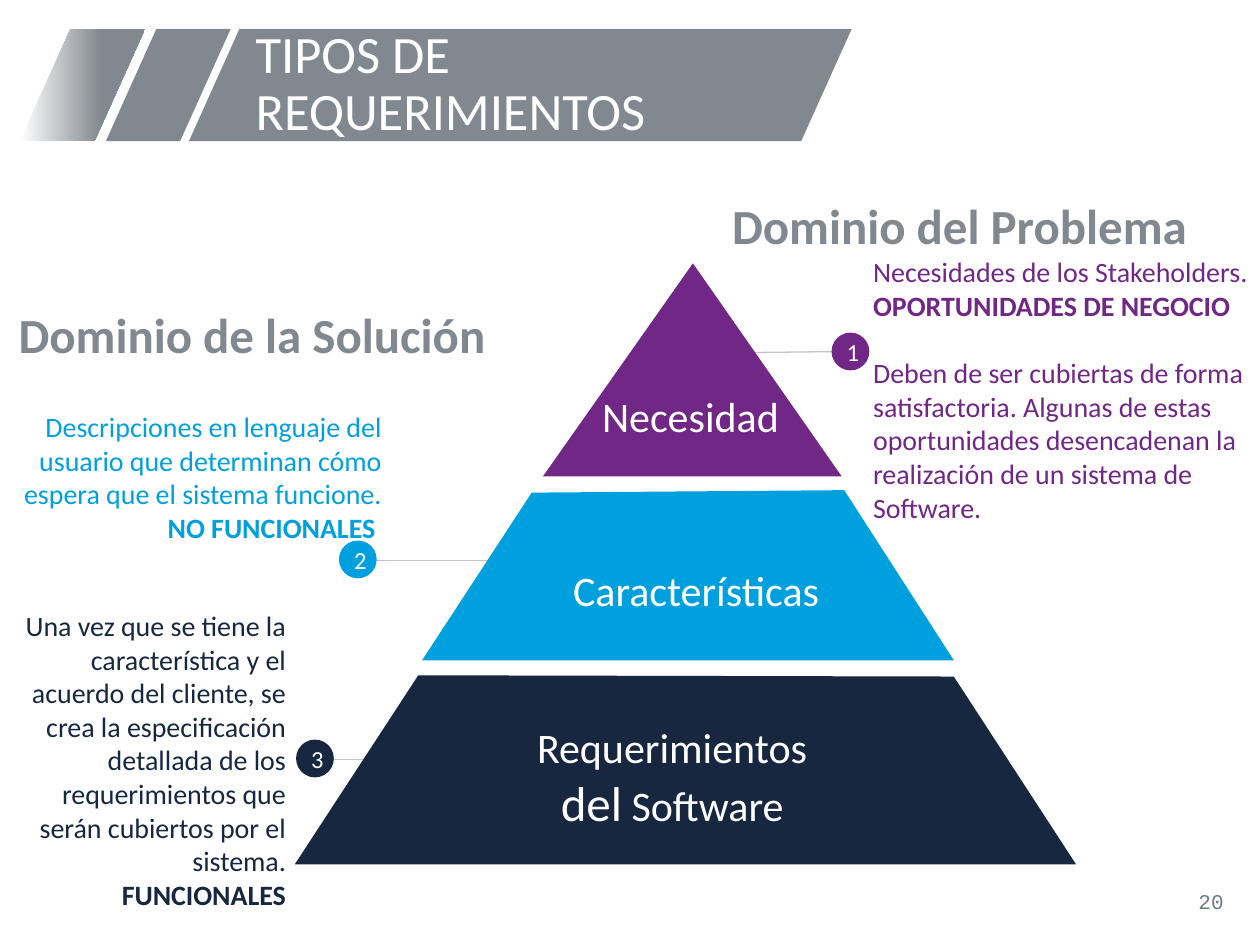
from pptx import Presentation
from pptx.dml.color import RGBColor
from pptx.enum.shapes import MSO_CONNECTOR, MSO_SHAPE
from pptx.enum.text import MSO_ANCHOR, PP_ALIGN
from pptx.oxml.ns import qn
from pptx.util import Inches, Pt
from lxml import etree

LEFT, CENTER, RIGHT = PP_ALIGN.LEFT, PP_ALIGN.CENTER, PP_ALIGN.RIGHT
TOP, MIDDLE = MSO_ANCHOR.TOP, MSO_ANCHOR.MIDDLE

THEME = {
    "font": "Calibri", "number_font": "Courier New",
    "white": "FFFFFF", "gray": "81888F", "line": "C2C2C2", "page": "6C7A8A",
    "need": "702785", "feature": "00A0DE", "software": "172740",
    "title": 30, "heading": 28, "label": 24, "large": 28, "body": 16,
    "badge": 14, "page_size": 12,
}

TITLE = "TIPOS DE REQUERIMIENTOS"
PAGE = "20"
BANNER = [(0.16, 0.99), (0.84, 0.99), (1.5, 5.26)]
HEADINGS = [
    ("Dominio de la Solución", (0, 2.35, 3.92, 0.6), RIGHT),
    ("Dominio del Problema", (5.74, 1.48, 4.08, 0.6), LEFT),
]
LEVELS = [
    {"color": "need",
     "outline": [(5.5, 2.09), (4.31, 3.78), (6.68, 3.78)],
     "label": [[("Necesidad", "label")]], "label_box": (4.64, 3.03, 1.68, 0.55),
     "badge": (6.6, 2.64), "line": [(5.78, 2.8), (6.68, 2.79)],
     "text_box": (6.86, 1.95, 3.15, 2.31), "align": LEFT,
     "text": [("Necesidades de los Stakeholders.", False, 0),
              ("OPORTUNIDADES DE NEGOCIO", True, 0),
              ("Deben de ser cubiertas de forma satisfactoria. Algunas de estas "
               "oportunidades desencadenan la realización de un sistema de "
               "Software.", False, 19.5)]},
    {"color": "feature",
     "outline": [(4.22, 3.91), (3.35, 5.24), (7.57, 5.24), (6.7, 3.89)],
     "label": [[("Características", "label")]], "label_box": (4.37, 4.41, 2.31, 0.55),
     "badge": (2.69, 4.29), "line": [(3.95, 4.45), (2.96, 4.45)],
     "text_box": (0.08, 3.18, 3.02, 1.22), "align": RIGHT,
     "text": [("Descripciones en lenguaje del usuario que determinan cómo "
               "espera que el sistema funcione.", False, 0),
              ("NO FUNCIONALES ", True, 0)]},
    {"color": "software",
     "outline": [(3.32, 5.36), (2.34, 6.86), (8.54, 6.86), (7.57, 5.37)],
     "label": [[("Requerimientos", "label")],
               [("del", "large"), (" Software", "label")]],
     "label_box": (3.45, 5.66, 3.77, 1.05),
     "badge": (2.35, 5.87), "line": [(3.42, 6.03), (2.56, 6.03)],
     "text_box": (0.06, 4.76, 2.28, 2.58), "align": RIGHT,
     "text": [("Una vez que se tiene la característica y el acuerdo del cliente, "
               "se crea la especificación detallada de los requerimientos que "
               "serán cubiertos por el sistema.", False, 0),
              ("FUNCIONALES", True, 0)]},
]


def rgb(name):
    return RGBColor.from_string(THEME[name])


def paint(sp, color):
    sp.shadow.inherit = False
    sp.fill.solid()
    sp.fill.fore_color.rgb = rgb(color)
    sp.line.fill.background()


def frame(sp, anchor=TOP, insets=(0.07, 0.07, 0.07, 0.07)):
    tf = sp.text_frame
    tf.word_wrap = True
    tf.vertical_anchor = anchor
    tf.margin_left, tf.margin_top, tf.margin_right, tf.margin_bottom = map(Inches, insets)
    return tf


def style(p, size, color, align=LEFT, bold=False, font="font"):
    p.alignment = align
    p.font.name, p.font.bold = THEME[font], bold
    p.font.size, p.font.color.rgb = Pt(THEME[size]), rgb(color)


def add_box(s, box, anchor=TOP, insets=(0.07, 0.07, 0.07, 0.07)):
    return frame(s.shapes.add_textbox(*map(Inches, box)), anchor, insets)


def add_line(tf, index):
    return tf.add_paragraph() if index else tf.paragraphs[0]


def add_banner(s):
    for i, (left, width) in enumerate(BANNER):
        sp = s.shapes.add_shape(MSO_SHAPE.PARALLELOGRAM,
                                *map(Inches, (left, 0.23, width, 0.89)))
        sp.adjustments[0] = 0.45
        paint(sp, "gray")
        if i == 0:
            sp.fill.gradient()
            sp.fill.gradient_angle = 0
            for stop, color, position in zip(sp.fill.gradient_stops,
                                             ("white", "gray"), (0, 0.65)):
                stop.color.rgb = rgb(color)
                stop.position = position
    p = add_box(s, (1.93, 0.23, 4.69, 0.89), MIDDLE, (0.1, 0.05, 0.1, 0.05)).paragraphs[0]
    p.text = TITLE
    p.line_spacing = 0.9
    style(p, "title", "white")


def add_leader(s, start, end):
    cx = s.shapes.add_connector(MSO_CONNECTOR.STRAIGHT, *map(Inches, start + end))
    cx.line.color.rgb = rgb("line")
    cx.line.width = Pt(0.75)
    etree.SubElement(cx._element.spPr, qn("a:effectLst"))


def add_level(s, number, level):
    color = level["color"]
    add_leader(s, *level["line"])

    points = [(Inches(x), Inches(y)) for x, y in level["outline"]]
    builder = s.shapes.build_freeform(*points[0])
    builder.add_line_segments(points[1:], close=True)
    paint(builder.convert_to_shape(), color)

    tf = add_box(s, level["label_box"])
    for i, runs in enumerate(level["label"]):
        p = add_line(tf, i)
        style(p, "label", "white", CENTER)
        for text, size in runs:
            r = p.add_run()
            r.text = text
            r.font.size = Pt(THEME[size])

    tf = add_box(s, level["text_box"])
    for i, (text, bold, before) in enumerate(level["text"]):
        p = add_line(tf, i)
        p.text = text
        if before:
            p.space_before = Pt(before)
        style(p, "body", color, level["align"], bold)

    sp = s.shapes.add_shape(MSO_SHAPE.OVAL, *map(Inches, level["badge"] + (0.3, 0.3)))
    paint(sp, color)
    p = frame(sp, MIDDLE, (0.04, 0, 0, 0)).paragraphs[0]
    p.text = str(number)
    style(p, "badge", "white", CENTER)


def main():
    """Build the slide on types of requirements."""
    prs = Presentation()
    prs.slide_width, prs.slide_height = Inches(10), Inches(7.5)
    s = prs.slides.add_slide(prs.slide_layouts[6])
    add_banner(s)
    for number, level in enumerate(LEVELS, 1):
        add_level(s, number, level)
    for text, box, align in HEADINGS:
        p = add_box(s, box).paragraphs[0]
        p.text = text
        style(p, "heading", "gray", align, True)
    p = add_box(s, (7.56, 6.95, 2.25, 0.4), MIDDLE, (0.1, 0.05, 0.1, 0.05)).paragraphs[0]
    p.text = PAGE
    style(p, "page_size", "page", RIGHT, font="number_font")
    prs.save("out.pptx")


if __name__ == "__main__":
    main()
